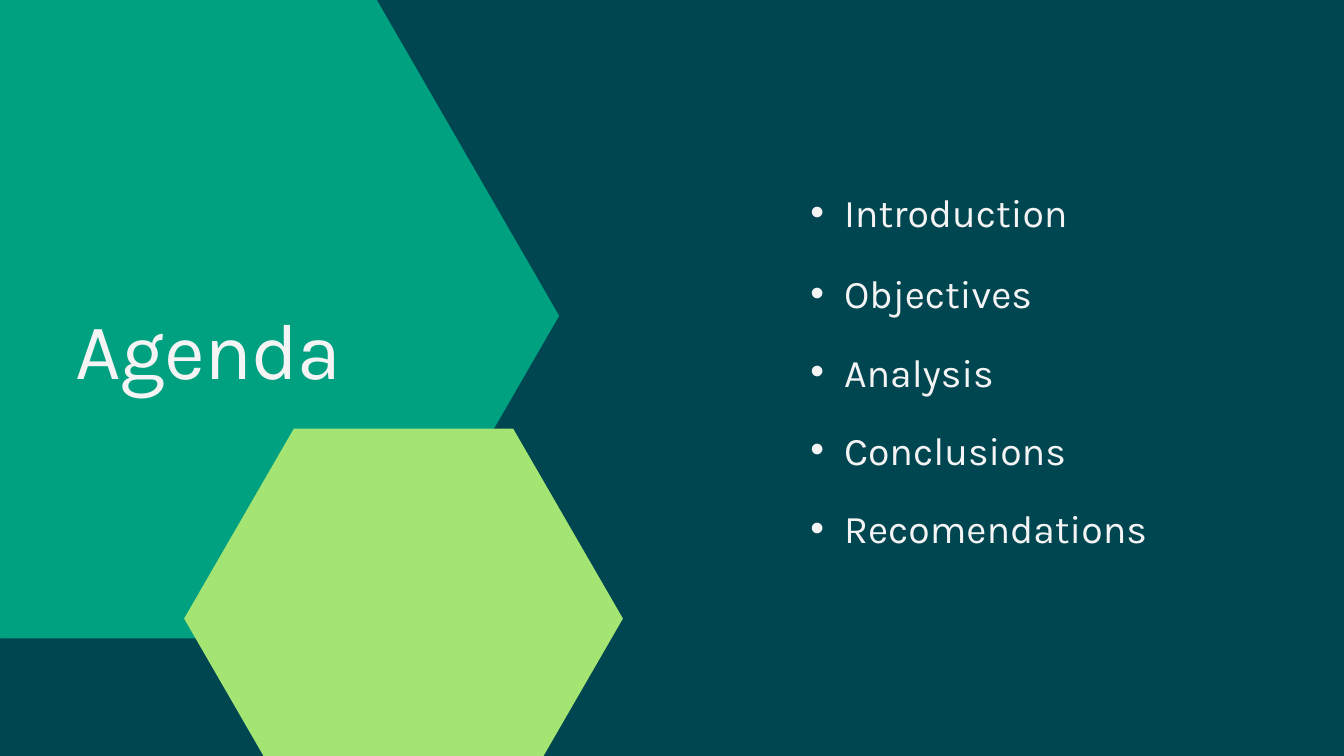
from lxml import etree
from pptx import Presentation
from pptx.dml.color import RGBColor
from pptx.enum.shapes import MSO_SHAPE
from pptx.enum.text import MSO_AUTO_SIZE
from pptx.oxml.ns import qn
from pptx.util import Inches, Pt

HEXAGON = MSO_SHAPE.HEXAGON
FIT_SHAPE = MSO_AUTO_SIZE.SHAPE_TO_FIT_TEXT
FONT = "Karla"
COLORS = {
    "background": "004651",
    "green": "00A181",
    "lime": "A4E473",
    "text": "F4F4F4",
}
AGENDA = [
    ("Introduction", 2.68),
    ("Objectives", 3.89),
    ("Analysis", 5.06),
    ("Conclusions", 6.22),
    ("Recomendations", 7.39),
]


def color(name):
    return RGBColor.from_string(COLORS[name])


def add_hexagon(slide, left, top, width, height, fill):
    hexagon = slide.shapes.add_shape(
        HEXAGON, Inches(left), Inches(top), Inches(width), Inches(height)
    )
    hexagon.adjustments[0] = width / 4 / height
    hexagon.shadow.inherit = False
    hexagon.fill.solid()
    hexagon.fill.fore_color.rgb = color(fill)
    hexagon.line.fill.background()


def add_line_of_text(slide, text, left, top, width, height, size, spacing):
    box = slide.shapes.add_textbox(
        Inches(left), Inches(top), Inches(width), Inches(height)
    )
    frame = box.text_frame
    frame.margin_left = frame.margin_right = 0
    frame.margin_top = frame.margin_bottom = 0
    frame.word_wrap = True
    frame.auto_size = FIT_SHAPE
    frame.text = text
    paragraph = frame.paragraphs[0]
    paragraph.line_spacing = Pt(spacing)
    font = paragraph.runs[0].font
    font.name = FONT
    font.size = Pt(size)
    font.color.rgb = color("text")
    return paragraph


def add_title(slide, text):
    title = add_line_of_text(slide, text, 1.12, 4.46, 4.88, 1.41, 85, 102)
    title.runs[0].font._element.set("spc", "-80")


def add_agenda_item(slide, text, top):
    item = add_line_of_text(slide, text, 11.57, top, 6.68, 0.81, 42, 58.8)
    item.level = 1
    properties = item._p.get_or_add_pPr()
    properties.set("marL", str(Inches(0.99)))
    properties.set("indent", str(Inches(-0.5)))
    etree.SubElement(properties, qn("a:buFont"), typeface="Arial")
    etree.SubElement(properties, qn("a:buChar"), char="•")


def main():
    deck = Presentation()
    deck.slide_width = Inches(20)
    deck.slide_height = Inches(11.25)
    slide = deck.slides.add_slide(deck.slide_layouts[6])
    background = slide.background.fill
    background.solid()
    background.fore_color.rgb = color("background")

    add_hexagon(slide, -2.76, -0.1, 11.08, 9.6, "green")
    add_hexagon(slide, 2.74, 6.38, 6.53, 5.65, "lime")
    add_title(slide, "Agenda")
    for text, top in AGENDA:
        add_agenda_item(slide, text, top)

    deck.save("out.pptx")


if __name__ == "__main__":
    main()
